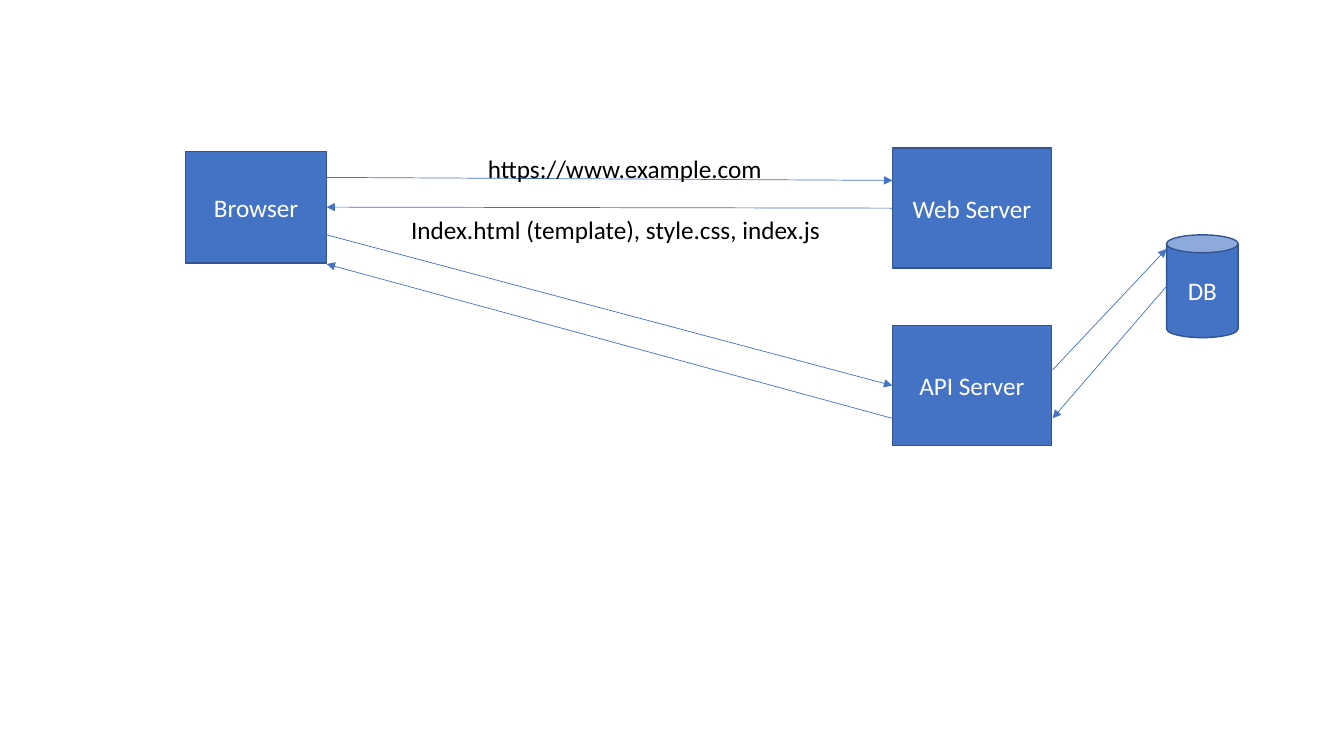
from lxml import etree
from pptx import Presentation
from pptx.dml.color import RGBColor
from pptx.enum.shapes import MSO_CONNECTOR, MSO_SHAPE
from pptx.enum.text import MSO_ANCHOR, MSO_AUTO_SIZE, PP_ALIGN
from pptx.oxml.ns import qn
from pptx.util import Inches, Pt

BLUE = RGBColor(0x44, 0x72, 0xC4)
DARK_BLUE = RGBColor(0x32, 0x54, 0x91)
WHITE = RGBColor(0xFF, 0xFF, 0xFF)
BLACK = RGBColor(0x00, 0x00, 0x00)
FONT = "Calibri"
LEFT, RIGHT = 1, 3  # connection sites of a rectangle

# name: (shape, left, top, width, height)
NODES = {
    "Browser": (MSO_SHAPE.RECTANGLE, 1.84, 1.5, 1.4, 1.11),
    "Web Server": (MSO_SHAPE.RECTANGLE, 8.85, 1.47, 1.58, 1.19),
    "API Server": (MSO_SHAPE.RECTANGLE, 8.85, 3.23, 1.58, 1.19),
    "DB": (MSO_SHAPE.CAN, 11.57, 2.33, 0.71, 1.02),
}

# start, end, joined start (node, site), joined end (node, site)
ARROWS = [
    ((3.24, 1.76), (8.85, 1.79), None, None),
    ((8.85, 2.06), (3.24, 2.06), ("Web Server", LEFT), ("Browser", RIGHT)),
    ((3.24, 2.33), (8.85, 3.82), None, ("API Server", LEFT)),
    ((8.85, 4.15), (3.24, 2.62), None, None),
    ((10.44, 3.67), (11.57, 2.47), None, None),
    ((11.57, 2.84), (10.44, 4.15), None, None),
]

# text, left, top, width, height
LABELS = [
    ("https://www.example.com", 4.74, 1.47, 2.95, 0.4),
    ("Index.html (template), style.css, index.js", 3.98, 2.08, 4.3, 0.4),
]


def set_text(tf, text, color=BLACK, align=PP_ALIGN.LEFT, anchor=MSO_ANCHOR.TOP):
    tf.vertical_anchor = anchor
    p = tf.paragraphs[0]
    p.alignment = align
    r = p.add_run()
    r.text = text
    r.font.name = FONT
    r.font.size = Pt(18)
    r.font.color.rgb = color


def add_node(slide, name, kind, *box):
    sp = slide.shapes.add_shape(kind, *map(Inches, box))
    sp.shadow.inherit = False
    sp.fill.solid()
    sp.fill.fore_color.rgb = BLUE
    sp.line.color.rgb = DARK_BLUE
    sp.line.width = Pt(1)
    set_text(sp.text_frame, name, color=WHITE, align=PP_ALIGN.CENTER,
             anchor=MSO_ANCHOR.MIDDLE)
    return sp


def add_arrow(slide, nodes, start, end, from_site, to_site):
    line = slide.shapes.add_connector(
        MSO_CONNECTOR.STRAIGHT, *map(Inches, start + end))
    if from_site:
        line.begin_connect(nodes[from_site[0]], from_site[1])
    if to_site:
        line.end_connect(nodes[to_site[0]], to_site[1])
    line.line.color.rgb = BLUE
    line.line.width = Pt(0.5)
    etree.SubElement(line.line._get_or_add_ln(), qn("a:tailEnd"), type="triangle")
    etree.SubElement(line._element.spPr, qn("a:effectLst"))


def add_label(slide, text, *box):
    tf = slide.shapes.add_textbox(*map(Inches, box)).text_frame
    tf.word_wrap = False
    tf.auto_size = MSO_AUTO_SIZE.SHAPE_TO_FIT_TEXT
    set_text(tf, text)


def main():
    prs = Presentation()
    prs.slide_width, prs.slide_height = Inches(13.33), Inches(7.5)
    slide = prs.slides.add_slide(prs.slide_layouts[6])
    nodes = {name: add_node(slide, name, *node) for name, node in NODES.items()}
    for arrow in ARROWS:
        add_arrow(slide, nodes, *arrow)
    for label in LABELS:
        add_label(slide, *label)
    prs.save("out.pptx")


if __name__ == "__main__":
    main()
